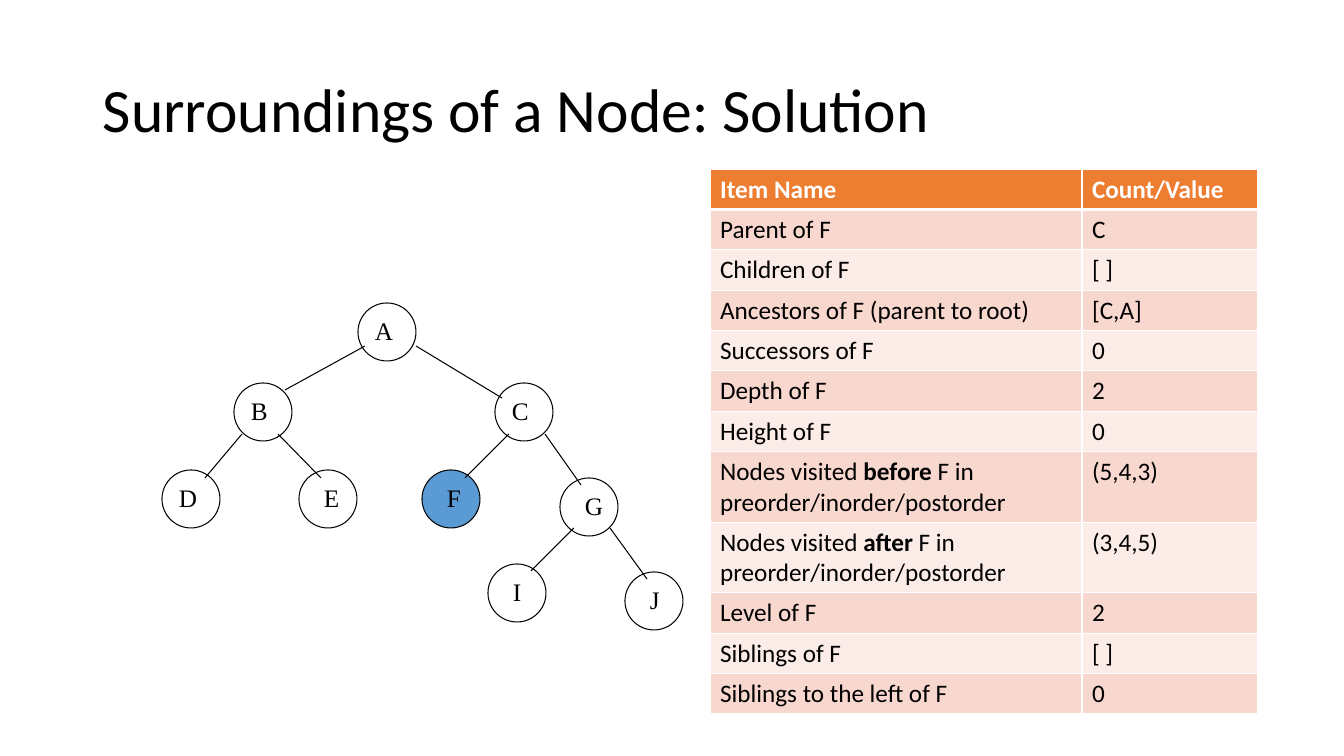
from lxml.etree import SubElement
from pptx import Presentation
from pptx.dml.color import RGBColor
from pptx.enum.shapes import MSO_CONNECTOR as Connector, MSO_SHAPE as Shape
from pptx.enum.text import MSO_ANCHOR as Anchor, MSO_AUTO_SIZE as AutoSize
from pptx.oxml.ns import qn
from pptx.util import Pt

BLACK = RGBColor(0x00, 0x00, 0x00)
WHITE = RGBColor(0xFF, 0xFF, 0xFF)
BLUE = RGBColor(0x5B, 0x9B, 0xD5)
ORANGE = RGBColor(0xED, 0x7D, 0x31)
PEACH = RGBColor(0xF8, 0xD7, 0xCE)
PALE = RGBColor(0xFC, 0xEC, 0xE8)

SCALE = 914400 / 100.8
NODE_SIZE = 58
LETTER_DROP, LETTER_HEIGHT = 7, 36
ROW, TALL_ROW, HEADER_ROW = 38, 67, 15

TITLE_FONT = {"name": "Calibri", "size": Pt(44)}
NODE_FONT = {"name": "Times New Roman", "size": Pt(18)}
CELL_FONT = {"name": "Calibri", "size": Pt(18)}

NODES = {
    "A": (358, 303, 7, 33),
    "B": (234, 383, 7, 32),
    "C": (495, 383, 7, 32),
    "D": (162, 470, 7, 33),
    "E": (299, 470, 15, 31),
    "F": (422, 470, 15, 29),
    "G": (560, 478, 15, 33),
    "I": (488, 564, 15, 25),
    "J": (625, 572, 15, 26),
}
EDGES = [
    ("A", (7, 43), "B", (51, 7)),
    ("A", (58, 43), "C", (7, 15)),
    ("B", (8, 51), "D", (43, 8)),
    ("B", (44, 51), "E", (22, 8)),
    ("C", (14, 51), "F", (43, 8)),
    ("C", (50, 51), "G", (21, 7)),
    ("G", (14, 50), "I", (43, 7)),
    ("G", (50, 50), "J", (22, 7)),
]
ROWS = [
    ("Item Name", "Count/Value"),
    ("Parent of F", "C"),
    ("Children of F", "[ ]"),
    ("Ancestors of F (parent to root)", "[C,A]"),
    ("Successors of F", "0"),
    ("Depth of F", "2"),
    ("Height of F", "0"),
    ("Nodes visited *before* F in preorder/inorder/postorder", "(5,4,3)"),
    ("Nodes visited *after* F in preorder/inorder/postorder", "(3,4,5)"),
    ("Level of F", "2"),
    ("Siblings of F", "[ ]"),
    ("Siblings to the left of F", "0"),
]


def px(*lengths):
    return [round(length * SCALE) for length in lengths]


class TreeSlide:
    def __init__(self, deck):
        self.page = deck.slides.add_slide(deck.slide_layouts[6])
        self.tree = self.page.shapes.add_group_shape().shapes

    def add_spans(self, para, text, font, color=BLACK, bold=False):
        for index, part in enumerate(text.split("*")):
            span = para.add_run()
            span.text = part
            for name, value in font.items():
                setattr(span.font, name, value)
            span.font.bold = bold or index % 2 == 1
            span.font.color.rgb = color

    def text(self, shapes, place, text, font, spacing=None, **frame_format):
        box = shapes.add_textbox(*px(*place))
        for name, value in frame_format.items():
            setattr(box.text_frame, name, value)
        para = box.text_frame.paragraphs[0]
        para.line_spacing = spacing
        self.add_spans(para, text, font)

    def node(self, left, top, fill=None):
        circle = self.tree.add_shape(Shape.OVAL, *px(left, top, NODE_SIZE, NODE_SIZE))
        circle.shadow.inherit = False
        if fill is None:
            circle.fill.background()
        else:
            circle.fill.solid()
            circle.fill.fore_color.rgb = fill
        circle.line.color.rgb = BLACK
        circle.line.width = Pt(0.75)

    def edge(self, start, end):
        line = self.tree.add_connector(Connector.STRAIGHT, *px(*start, *end))
        line.line.color.rgb = BLACK
        line.line.width = Pt(0.75)
        SubElement(line._element.spPr, qn("a:effectLst"))

    def border(self, cell, widths):
        properties = cell._tc.get_or_add_tcPr()
        for side, width in widths.items():
            line = SubElement(properties, qn(f"a:ln{side}"), w=str(Pt(width)))
            fill = SubElement(line, qn("a:solidFill"))
            SubElement(fill, qn("a:srgbClr"), val=str(WHITE))

    def table(self, place, widths, rows):
        frame = self.page.shapes.add_table(len(rows), len(widths), *px(*place))
        table = frame.table
        for column, width in zip(table.columns, px(*widths)):
            column.width = width
        for index, texts in enumerate(rows):
            header = index == 0
            height = HEADER_ROW if header else TALL_ROW if "*" in texts[0] else ROW
            table.rows[index].height = px(height)[0]
            fill = ORANGE if header else PEACH if index % 2 else PALE
            for cell, text in zip(table.rows[index].cells, texts):
                self.border(cell, {"L": 1, "R": 1, "T": 3 if index == 1 else 1,
                                   "B": 3 if header else 1})
                cell.fill.solid()
                cell.fill.fore_color.rgb = fill
                self.add_spans(cell.text_frame.paragraphs[0], text, CELL_FONT,
                               WHITE if header else BLACK, header)
        frame.height = px(place[3])[0]


def main():
    deck = Presentation()
    deck.slide_width, deck.slide_height = px(1344, 756)
    slide = TreeSlide(deck)
    slide.text(slide.page.shapes, (93, 40, 1159, 146), "Surroundings of a Node: Solution",
               TITLE_FONT, 0.9, word_wrap=True, vertical_anchor=Anchor.MIDDLE)
    slide.table((710, 169, 548, 544), (372, 176), ROWS)
    for letter, (left, top, indent, width) in NODES.items():
        slide.node(left, top, BLUE if letter == "F" else None)
        slide.text(slide.tree, (left + indent, top + LETTER_DROP, width, LETTER_HEIGHT),
                   letter, NODE_FONT, word_wrap=False,
                   auto_size=AutoSize.SHAPE_TO_FIT_TEXT)
    for parent, start, child, end in EDGES:
        slide.edge(*[(NODES[name][0] + x, NODES[name][1] + y)
                     for name, (x, y) in ((parent, start), (child, end))])
    deck.save("out.pptx")


if __name__ == "__main__":
    main()
